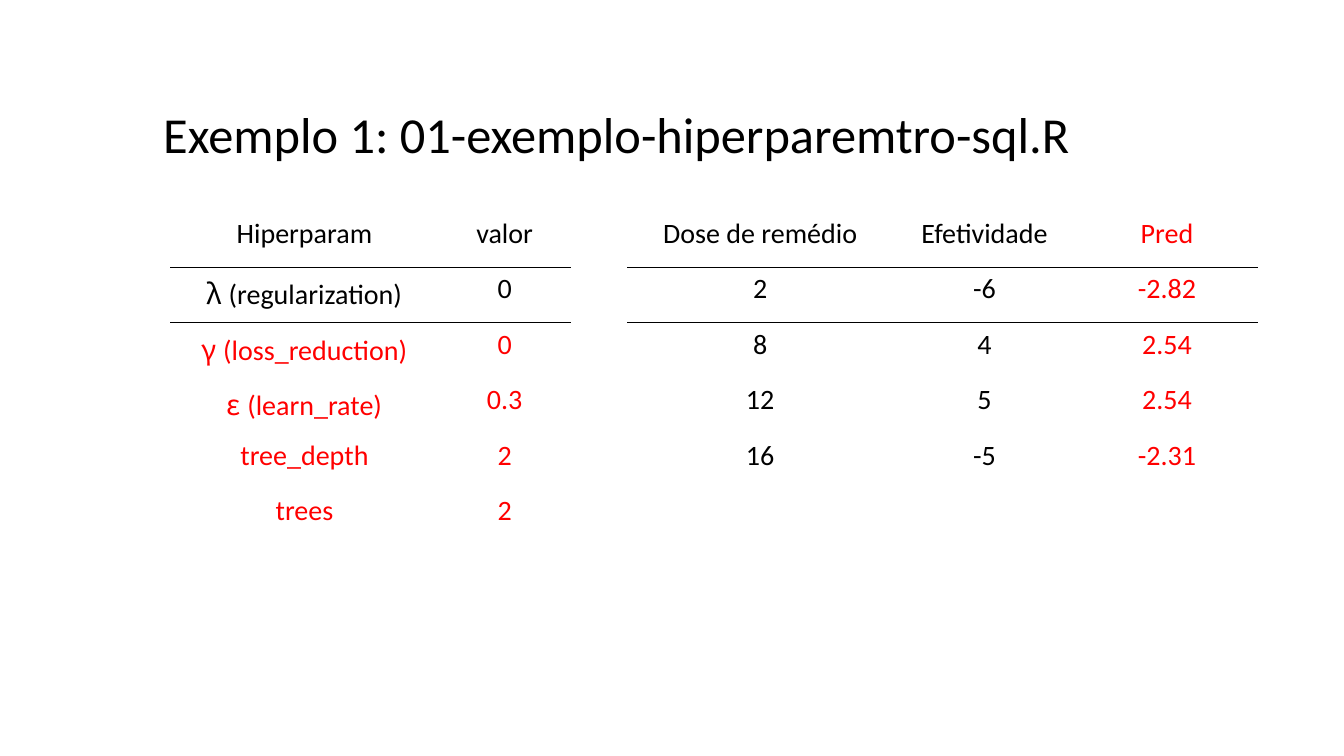
from lxml import etree
from pptx import Presentation, util as u
from pptx.dml.color import RGBColor
from pptx.enum import text
from pptx.oxml.ns import qn

PX = 9144  # EMU per px, 100 px to the inch
COLORS = {"black": "000000", "red": "FF0000"}
FONT, GREEK_FONT = "Calibri", "Noto Sans CJK SC"
NO_STYLE = "{2D5ABB26-0587-4C30-8999-92F81FD0307C}"
ROW_H = 55

HYPERPARAMS = [
    ("Hiperparam", "valor"),
    ("λ (regularization)", "0"),
    ("γ (loss_reduction)", "0"),
    ("ε (learn_rate)", "0.3"),
    ("tree_depth", "2"),
    ("trees", "2"),
]
PREDICTIONS = [
    ("Dose de remédio", "Efetividade", "Pred"),
    ("2", "-6", "-2.82"),
    ("8", "4", "2.54"),
    ("12", "5", "2.54"),
    ("16", "-5", "-2.31"),
]


def px(n):
    return u.Emu(n * PX)


def style(p, size, color):
    p.font.size = u.Pt(size)
    p.font.color.rgb = RGBColor.from_string(COLORS[color])


def add_title(s, title, x, y, w, h):
    tf = s.shapes.add_textbox(px(x), px(y), px(w), px(h)).text_frame
    tf.word_wrap = False
    tf.auto_size = text.MSO_AUTO_SIZE.SHAPE_TO_FIT_TEXT
    p = tf.paragraphs[0]
    p.text = title
    style(p, 36, "black")
    p.font.name = FONT


def add_border(cell, side):
    ln = etree.SubElement(cell._tc.get_or_add_tcPr(), qn(f"a:ln{side}"), w=str(u.Pt(1)))
    fill = etree.SubElement(ln, qn("a:solidFill"))
    etree.SubElement(fill, qn("a:srgbClr"), val=COLORS["black"])


def write_cell(cell, value, color):
    """Write a centred value; a Greek symbol before a bracket gets its own font."""
    p = cell.text_frame.paragraphs[0]
    p.alignment = text.PP_ALIGN.CENTER
    style(p, 20, color)
    symbol, bracket, name = value.partition("(")
    if bracket:
        for part, font in ((symbol, GREEK_FONT), (bracket + name, FONT)):
            r = p.add_run()
            r.text = part
            r.font.name = font
    else:
        p.text = value
        p.font.name = FONT


def add_table(s, rows, x, y, widths, is_red):
    """Add a table ruled under its header; is_red(row, column) picks red cells."""
    frame = s.shapes.add_table(len(rows), len(widths), px(x), px(y),
                               px(sum(widths)), px(ROW_H * len(rows)))
    tbl = frame.table
    tbl.first_row = tbl.horz_banding = False
    tbl._tbl.tblPr.find(qn("a:tableStyleId")).text = NO_STYLE
    for col, width in zip(tbl.columns, widths):
        col.width = px(width)
    for i, row in enumerate(rows):
        for j, value in enumerate(row):
            cell = tbl.cell(i, j)
            write_cell(cell, value, "red" if is_red(i, j) else "black")
            if i < 2:
                add_border(cell, "TB"[1 - i])
            cell.fill.background()


def main():
    prs = Presentation()
    prs.slide_width, prs.slide_height = px(1333), px(750)
    s = prs.slides.add_slide(prs.slide_layouts[6])
    add_table(s, PREDICTIONS, 622, 210, [264, 181, 181], lambda i, j: j == 2)
    add_table(s, HYPERPARAMS, 169, 210, [266, 131], lambda i, j: i >= 2)
    add_title(s, "Exemplo 1: 01-exemplo-hiperparemtro-sql.R", 152, 97, 1098, 71)
    prs.save("out.pptx")


if __name__ == "__main__":
    main()
